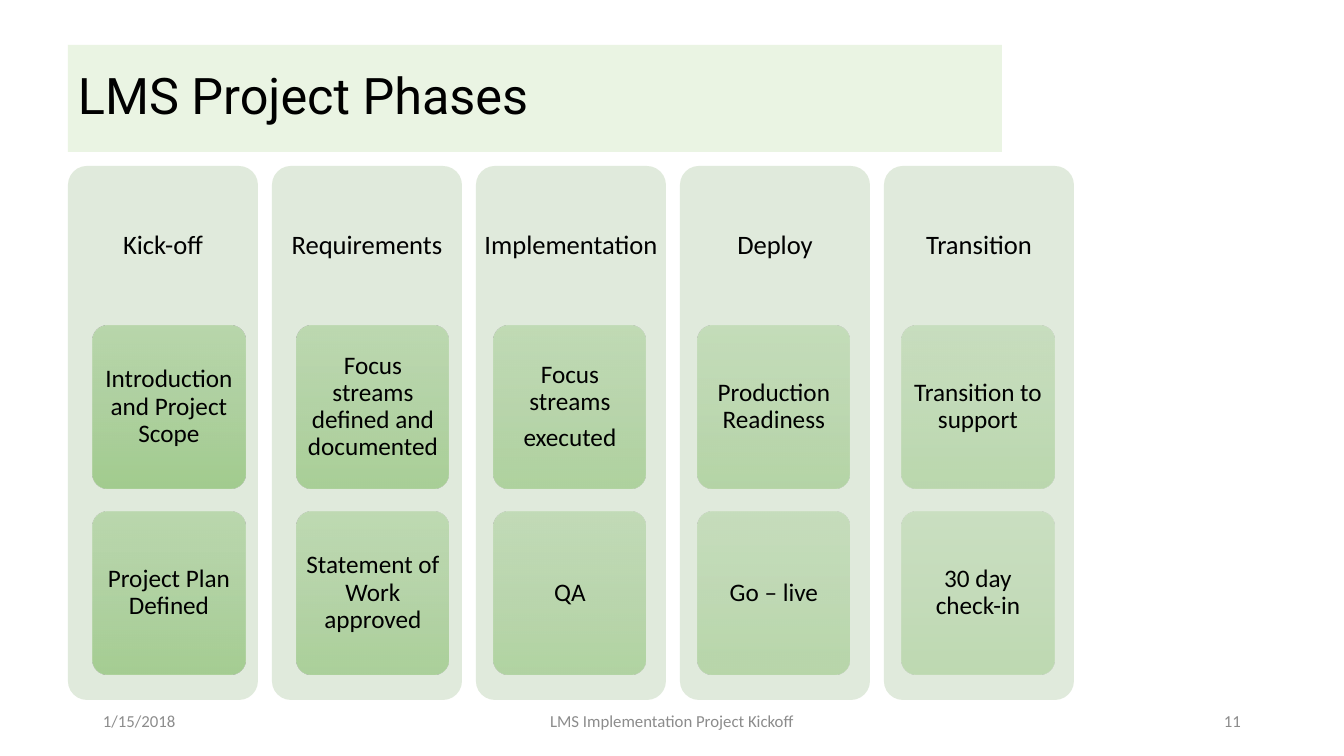
from lxml.etree import SubElement
from pptx import Presentation
from pptx.dml.color import RGBColor
from pptx.enum.shapes import MSO_SHAPE
from pptx.enum.text import MSO_ANCHOR, PP_ALIGN
from pptx.oxml.ns import qn
from pptx.util import Pt

SCALE = 914400 / 100.8
COLORS = {
    "title": "E2F0D9",
    "column": "D5E3CF",
    "card_top": "B5D5A7",
    "card_middle": "AACE9A",
    "card_bottom": "9CC987",
    "text": "000000",
    "footer": "8C8C8C",
}
PHASES = [
    ("Kick-off", 25, ["Introduction and Project Scope", "Project Plan Defined"]),
    ("Requirements", 25, ["Focus streams defined and documented", "Statement of Work approved"]),
    ("Implementation", 18, ["Focus streams\nexecuted", "QA"]),
    ("Deploy", 18, ["Production Readiness", "Go – live"]),
    ("Transition", 18, ["Transition to support", "30 day check-in"]),
]
FOOTERS = [
    (93, 302, "1/15/2018", PP_ALIGN.LEFT),
    (445, 454, "LMS Implementation Project Kickoff", PP_ALIGN.CENTER),
    (949, 302, "11", PP_ALIGN.RIGHT),
]
COLUMN_LEFT, COLUMN_TOP, COLUMN_WIDTH, COLUMN_HEIGHT, COLUMN_PITCH = 68, 166, 190, 534, 204
HEADER_HEIGHT = 160
CARD_TOP, CARD_WIDTH, CARD_HEIGHT, CARD_PITCH = 326, 152, 162, 186


def px(length):
    return round(length * SCALE)


def set_text(shape, text, size, color="text", font="Calibri",
             align=PP_ALIGN.CENTER, insets=(10, 5), line_spacing=0.9):
    frame = shape.text_frame
    frame.word_wrap = True
    frame.vertical_anchor = MSO_ANCHOR.MIDDLE
    frame.margin_left = frame.margin_right = px(insets[0])
    frame.margin_top = frame.margin_bottom = px(insets[1])
    frame.text = text
    for para in frame.paragraphs:
        para.alignment = align
        para.line_spacing = line_spacing
        for span in para.runs:
            span.font.size = Pt(size)
            span.font.name = font
            span.font.color.rgb = RGBColor.from_string(COLORS[color])
    for para in frame.paragraphs[:-1]:
        para.space_after = Pt(6)


def add_text(page, left, top, width, height, text, size, **style):
    box = page.shapes.add_textbox(px(left), px(top), px(width), px(height))
    set_text(box, text, size, **style)


def add_panel(page, kind, left, top, width, height):
    panel = page.shapes.add_shape(kind, px(left), px(top), px(width), px(height))
    panel.shadow.inherit = False
    panel.line.fill.background()
    if kind == MSO_SHAPE.ROUNDED_RECTANGLE:
        panel.adjustments[0] = 0.1
    return panel


def set_alpha(color_element, percent):
    SubElement(color_element, qn("a:alpha")).set("val", str(round(percent * 1000)))


def fill_solid(panel, color, alpha):
    panel.fill.solid()
    panel.fill.fore_color.rgb = RGBColor.from_string(COLORS[color])
    set_alpha(panel.fill._xPr.find(".//" + qn("a:srgbClr")), alpha)


def fill_gradient(panel, colors, alpha):
    panel.fill.gradient()
    panel.fill.gradient_angle = 270
    stops = panel.fill._xPr.find(".//" + qn("a:gsLst"))
    for stop in list(stops):
        stops.remove(stop)
    for index, color in enumerate(colors):
        stop = SubElement(stops, qn("a:gs"))
        stop.set("pos", str(index * 100000 // (len(colors) - 1)))
        color_element = SubElement(stop, qn("a:srgbClr"))
        color_element.set("val", COLORS[color])
        set_alpha(color_element, alpha)


def add_card(page, left, top, text, alpha):
    card = add_panel(page, MSO_SHAPE.ROUNDED_RECTANGLE, left, top, CARD_WIDTH, CARD_HEIGHT)
    fill_gradient(card, ["card_top", "card_middle", "card_bottom"], alpha)
    set_text(card, text, 18, insets=(5, 4))


def add_phase(page, index, name, card_indent, cards):
    left = COLUMN_LEFT + index * COLUMN_PITCH
    column = add_panel(page, MSO_SHAPE.ROUNDED_RECTANGLE, left, COLUMN_TOP,
                       COLUMN_WIDTH, COLUMN_HEIGHT)
    fill_solid(column, "column", 72)
    add_text(page, left, COLUMN_TOP, COLUMN_WIDTH, HEADER_HEIGHT, name, 19, insets=(7, 8))
    for row, text in enumerate(cards):
        alpha = 90 - 40 * (index * len(cards) + row) / 9
        add_card(page, left + card_indent, CARD_TOP + row * CARD_PITCH, text, alpha)


def main():
    deck = Presentation()
    deck.slide_width, deck.slide_height = px(1344), px(756)
    page = deck.slides.add_slide(deck.slide_layouts[6])
    for left, width, text, align in FOOTERS:
        add_text(page, left, 701, width, 40, text, 12, color="footer",
                 align=align, line_spacing=1.0)
    title = add_panel(page, MSO_SHAPE.RECTANGLE, 68, 45, 934, 107)
    fill_solid(title, "title", 72)
    set_text(title, "LMS Project Phases", 36, font="Roboto", align=PP_ALIGN.LEFT)
    for index, (name, card_indent, cards) in enumerate(PHASES):
        add_phase(page, index, name, card_indent, cards)
    deck.save("out.pptx")


main()
